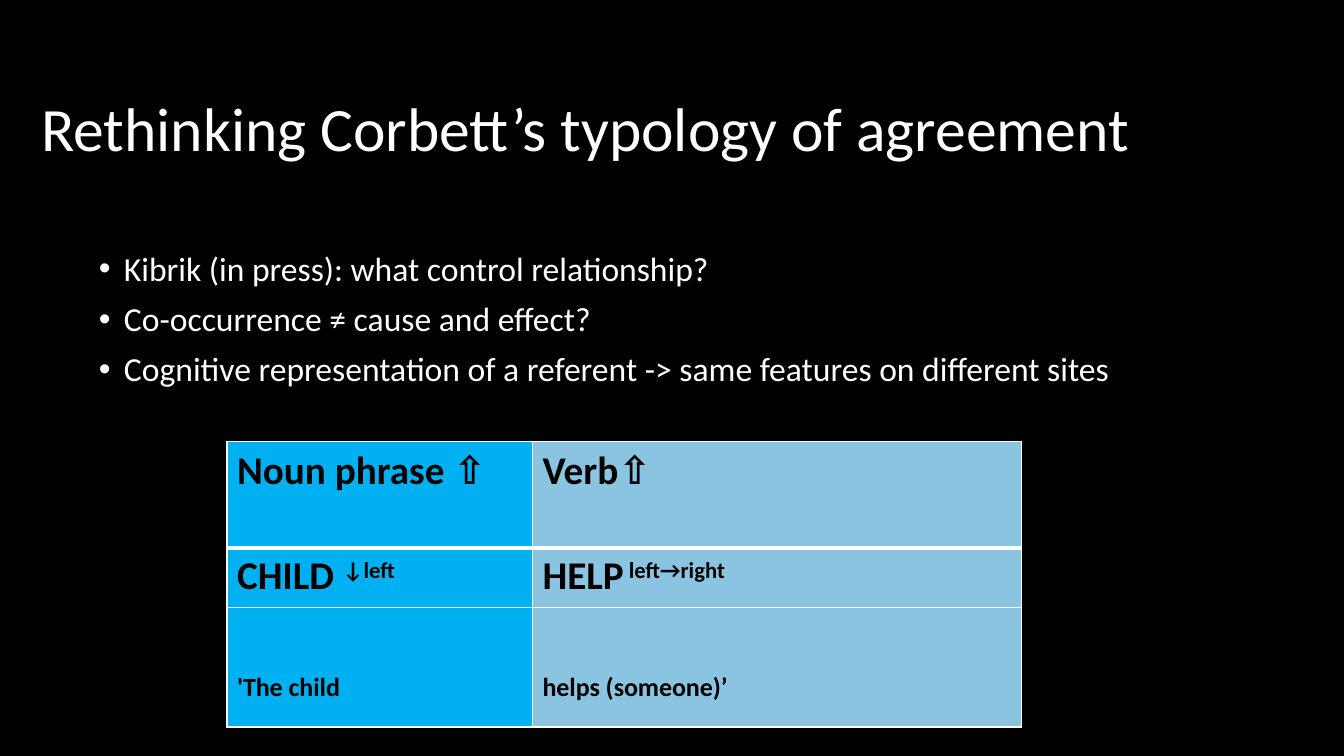
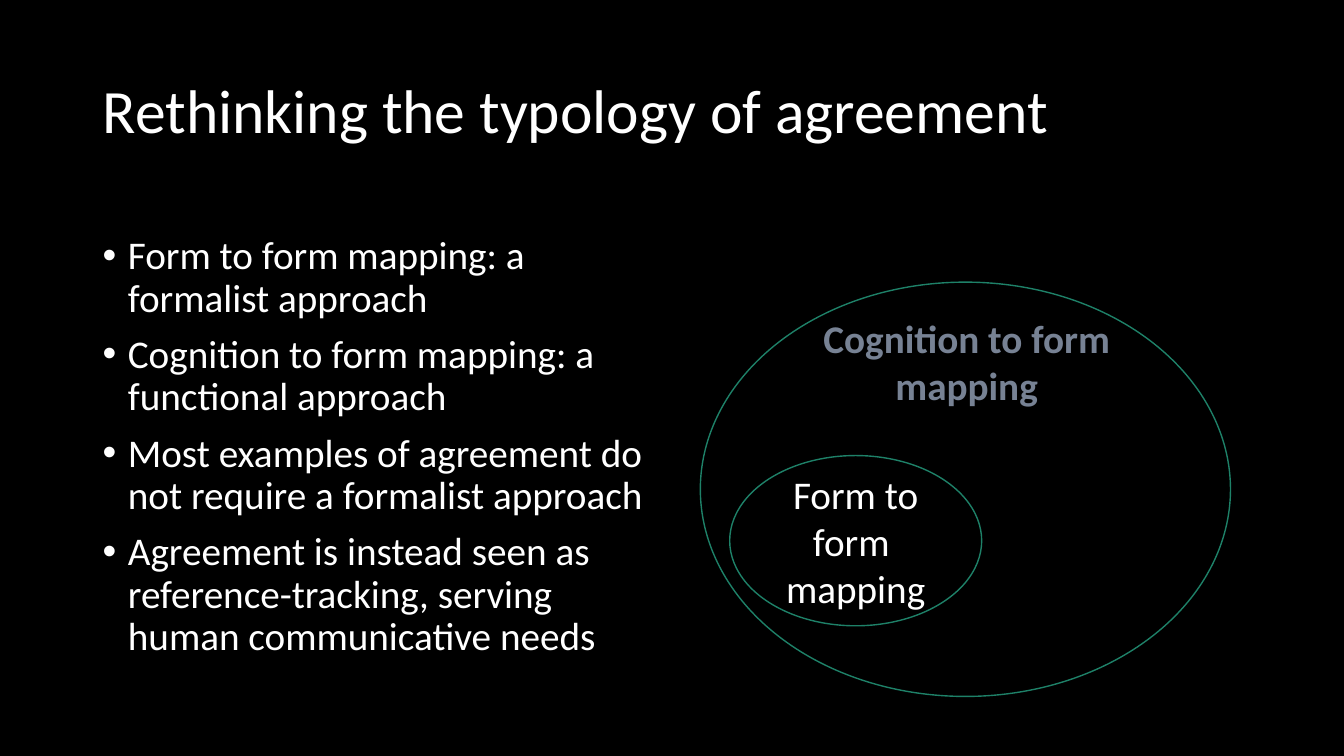
from lxml import etree
from pptx import Presentation
from pptx.dml.color import RGBColor
from pptx.enum.shapes import MSO_SHAPE
from pptx.enum.text import MSO_ANCHOR, PP_ALIGN
from pptx.oxml.ns import qn
from pptx.util import Cm, Pt

# Content: boxes are left, top, width, height in cm
AGREEMENT = {
    "title": "Rethinking Corbett’s typology of agreement",
    "title_box": (0.79, 1.02, 29.87, 4.6),
    "bullets": [
        "Kibrik (in press): what control relationship?",
        "Co-occurrence ≠ cause and effect?",
        "Cognitive representation of a referent -> same features on different sites",
    ],
    "bullet_box": (2.24, 6.23, 29.16, 12.1),
    "bullet_size": 24,
}
MAPPING = {
    "title": "Rethinking the typology of agreement",
    "title_box": (2.34, 1.02, 29.21, 3.68),
    "bullets": [
        "Form to form mapping: a formalist approach",
        "Cognition to form mapping: a functional approach",
        "Most examples of agreement do not require a formalist approach",
        "Agreement is instead seen as reference-tracking, serving human communicative needs",
    ],
    "bullet_box": (2.34, 5.82, 14.4, 11.33),
    "bullet_size": 28,
}
# Each cell: (text, superscript text); each row: size, height in cm, cells
TABLE_AT = (5.72, 11.13)
TABLE_COLS = [(7.7, "cyan"), (12.32, "pale_blue")]
TABLE_ROWS = [
    (28, 2.67, [("Noun phrase ⇧", ""), ("Verb⇧", "")]),
    (28, 1.5, [("CHILD ", "↓left"), ("HELP", " left→right")]),
    (32, 3.02, [("", "'The child"), ("", "helps (someone)’")]),
]
COGNITION = ("Cognition to form mapping", (18.72, 7.8, 11.28, 2.64))
FORM = (["Form to form ", "mapping"], (18.39, 11.48, 6.35, 4.29))
OUTER_BOX = (17.65, 7.11, 13.36, 10.44)

# Shared style
FONT = "Calibri"
COLORS = {"black": "000000", "white": "FFFFFF", "cyan": "00B0F0",
          "pale_blue": "8BC4E0", "green": "1E8168", "slate": "778294"}


def rgb(name):
    return RGBColor.from_string(COLORS[name])


def style(p, size, color="white", bold=False):
    for r in p.runs:
        r.font.name, r.font.size, r.font.bold = FONT, Pt(size), bold
        r.font.color.rgb = rgb(color)


def fill_text(tf, lines, size, color="white", bold=False, align=PP_ALIGN.LEFT):
    tf.word_wrap = True
    tf.text = "\n".join(lines)
    for p in tf.paragraphs:
        p.alignment = align
        style(p, size, color, bold)


def add_text(slide, box, lines, size, **kw):
    tf = slide.shapes.add_textbox(*map(Cm, box)).text_frame
    fill_text(tf, lines, size, **kw)
    return tf


def add_bullets(slide, box, lines, size):
    for p in add_text(slide, box, lines, size).paragraphs:
        p.line_spacing, p.space_before = 0.9, Pt(10)
        pPr = p._p.get_or_add_pPr()
        pPr.set("marL", str(Cm(0.635)))
        pPr.set("indent", str(-Cm(0.635)))
        etree.SubElement(pPr, qn("a:buFont"), typeface="Arial")
        etree.SubElement(pPr, qn("a:buChar"), char="•")


def add_base(prs, content):
    slide = prs.slides.add_slide(prs.slide_layouts[6])
    tf = add_text(slide, content["title_box"], [content["title"]], 44)
    tf.vertical_anchor = MSO_ANCHOR.MIDDLE
    tf.paragraphs[0].line_spacing = 0.9
    add_bullets(slide, content["bullet_box"], content["bullets"], content["bullet_size"])
    return slide


def set_borders(cell, **widths):
    tcPr = cell._tc.get_or_add_tcPr()
    for i, side in enumerate("LRTB"):
        ln = etree.Element(qn("a:ln" + side), w=str(Pt(widths.get(side, 1))))
        fill = etree.SubElement(ln, qn("a:solidFill"))
        etree.SubElement(fill, qn("a:srgbClr"), val=COLORS["white"])
        tcPr.insert(i, ln)


def add_example_table(slide):
    width = sum(w for w, _ in TABLE_COLS)
    height = sum(h for _, h, _ in TABLE_ROWS)
    table = slide.shapes.add_table(len(TABLE_ROWS), len(TABLE_COLS),
                                   *map(Cm, (*TABLE_AT, width, height))).table
    for col, (w, _) in zip(table.columns, TABLE_COLS):
        col.width = Cm(w)
    for i, (size, h, texts) in enumerate(TABLE_ROWS):
        table.rows[i].height = Cm(h)
        for j, (text, raised) in enumerate(texts):
            cell = table.cell(i, j)
            cell.fill.solid()
            cell.fill.fore_color.rgb = rgb(TABLE_COLS[j][1])
            # Heavy rule between the header and the first row
            set_borders(cell, B=3 if i == 0 else 1, T=3 if i == 1 else 1)
            if i == len(TABLE_ROWS) - 1:
                cell.vertical_anchor = MSO_ANCHOR.BOTTOM
            p = cell.text_frame.paragraphs[0]
            if text:
                p.add_run().text = text
            if raised:
                r = p.add_run()
                r.text = raised
                r.font._element.set("baseline", "30000")
            style(p, size, "black", bold=True)


def add_ellipse(slide, box, fill=None):
    sp = slide.shapes.add_shape(MSO_SHAPE.OVAL, *map(Cm, box))
    sp.shadow.inherit = False
    sp.line.color.rgb, sp.line.width = rgb("green"), Pt(1)
    if fill:
        sp.fill.solid()
        sp.fill.fore_color.rgb = rgb(fill)
    else:
        sp.fill.background()
    return sp


def main():
    prs = Presentation()
    prs.slide_width, prs.slide_height = Cm(33.87), Cm(19.05)
    background = prs.slide_master.background.fill
    background.solid()
    background.fore_color.rgb = rgb("black")

    # Slide 1: bullets and example table
    add_example_table(add_base(prs, AGREEMENT))

    # Slide 2: bullets and nested ellipses
    slide = add_base(prs, MAPPING)
    text, box = COGNITION
    add_text(slide, box, [text], 28, color="slate", bold=True, align=PP_ALIGN.CENTER)
    lines, box = FORM
    inner = add_ellipse(slide, box, fill="black")
    fill_text(inner.text_frame, lines, 28, align=PP_ALIGN.CENTER)
    inner.text_frame.vertical_anchor = MSO_ANCHOR.MIDDLE
    add_ellipse(slide, OUTER_BOX)

    prs.save("out.pptx")


if __name__ == "__main__":
    main()
